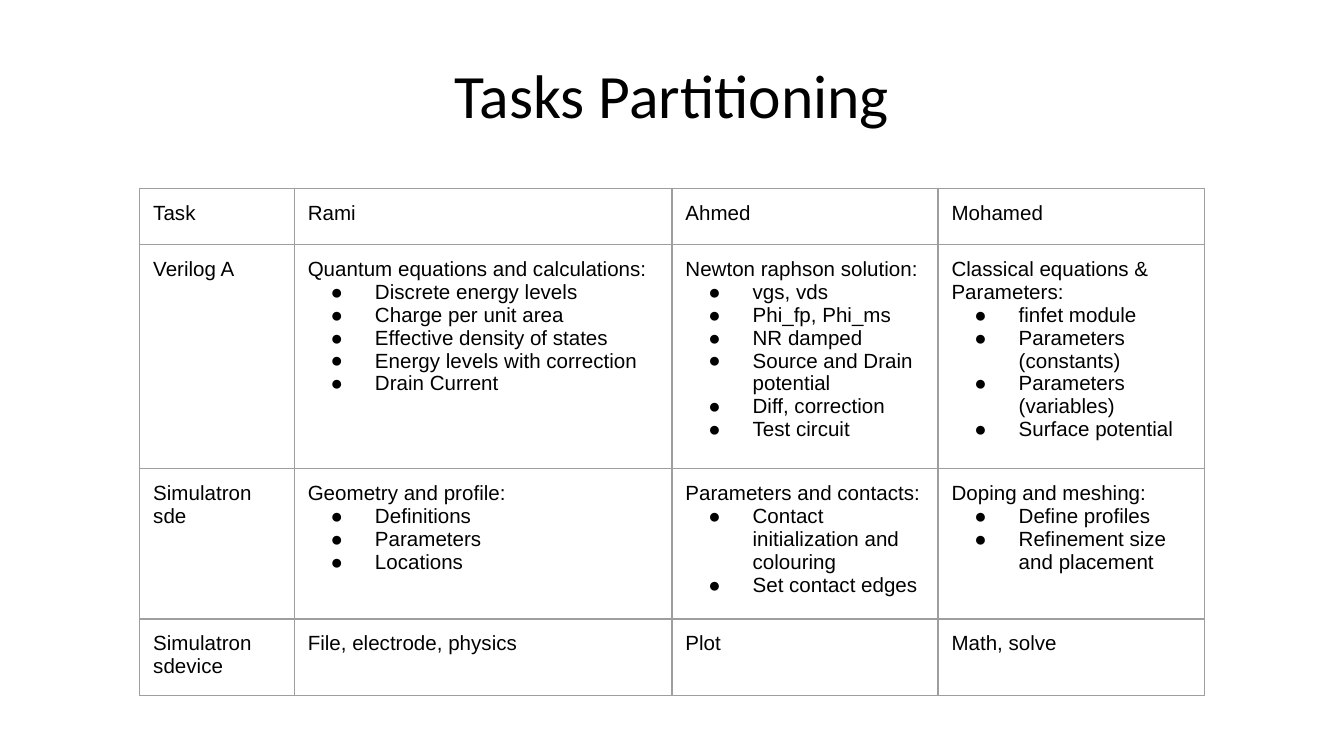
from lxml import etree
from pptx import Presentation
from pptx.dml.color import RGBColor
from pptx.enum.text import MSO_ANCHOR, PP_ALIGN
from pptx.oxml.ns import qn
from pptx.util import Inches, Pt

CENTER = PP_ALIGN.CENTER
LEFT = PP_ALIGN.LEFT
MIDDLE = MSO_ANCHOR.MIDDLE
BLACK = RGBColor(0x00, 0x00, 0x00)
GRID_GRAY = RGBColor(0x9E, 0x9E, 0x9E)

COLUMN_WIDTHS = [1.15, 2.81, 1.98, 1.98]
MIN_ROW_HEIGHT = 0.42  # rows grow to fit their text

# Each cell is a heading followed by its bulleted items.
TASKS = [
    [["Task"], ["Rami"], ["Ahmed"], ["Mohamed"]],
    [
        ["Verilog A"],
        ["Quantum equations and calculations:", "Discrete energy levels",
         "Charge per unit area", "Effective density of states",
         "Energy levels with correction", "Drain Current"],
        ["Newton raphson solution:", "vgs, vds", "Phi_fp, Phi_ms", "NR damped",
         "Source and Drain potential", "Diff, correction", "Test circuit"],
        ["Classical equations & Parameters:", "finfet module",
         "Parameters (constants)", "Parameters (variables)", "Surface potential"],
    ],
    [
        ["Simulatron sde"],
        ["Geometry and profile:", "Definitions", "Parameters", "Locations"],
        ["Parameters and contacts:", "Contact initialization and colouring",
         "Set contact edges"],
        ["Doping and meshing:", "Define profiles", "Refinement size and placement"],
    ],
    [["Simulatron sdevice"], ["File, electrode, physics"], ["Plot"], ["Math, solve"]],
]


def add_bullet(paragraph):
    properties = paragraph._p.get_or_add_pPr()
    properties.set("marL", str(Inches(0.5)))
    properties.set("indent", str(Inches(-0.33)))
    bullet_color = etree.SubElement(properties, qn("a:buClr"))
    etree.SubElement(bullet_color, qn("a:srgbClr"), val=str(BLACK))
    etree.SubElement(properties, qn("a:buFont"), typeface="Arial")
    etree.SubElement(properties, qn("a:buChar"), char="●")


def write_text(paragraph, text, font="Arial", size=11, color=BLACK,
               align=LEFT, bullet=False):
    if bullet:
        add_bullet(paragraph)
    paragraph.alignment = align
    run = paragraph.add_run()
    run.text = text
    run.font.name = font
    run.font.size = Pt(size)
    run.font.color.rgb = color


def set_margins(holder, horizontal, vertical):
    holder.margin_left = holder.margin_right = Inches(horizontal)
    holder.margin_top = holder.margin_bottom = Inches(vertical)


def add_borders(cell):
    properties = cell._tc.get_or_add_tcPr()
    for side in ("lnL", "lnR", "lnT", "lnB"):
        border = etree.SubElement(properties, qn(f"a:{side}"), w=str(Pt(0.75)))
        fill = etree.SubElement(border, qn("a:solidFill"))
        etree.SubElement(fill, qn("a:srgbClr"), val=str(GRID_GRAY))


def fill_cell(cell, lines):
    set_margins(cell, 0.1, 0.1)
    add_borders(cell)
    cell.fill.background()
    frame = cell.text_frame
    for index, line in enumerate(lines):
        paragraph = frame.add_paragraph() if index else frame.paragraphs[0]
        write_text(paragraph, line, bullet=index > 0)


def add_title(slide, left, top, width, height):
    title = slide.shapes.add_textbox(
        Inches(left), Inches(top), Inches(width), Inches(height))
    frame = title.text_frame
    frame.word_wrap = True
    frame.vertical_anchor = MIDDLE
    set_margins(frame, 0.07, 0.04)
    write_text(frame.paragraphs[0], "Tasks Partitioning",
               font="Calibri", size=33, align=CENTER)


def add_task_table(slide, left, top):
    table = slide.shapes.add_table(
        len(TASKS), len(COLUMN_WIDTHS), Inches(left), Inches(top),
        Inches(sum(COLUMN_WIDTHS)), Inches(MIN_ROW_HEIGHT * len(TASKS))).table
    table.first_row = False
    table.horz_banding = False
    for column, width in zip(table.columns, COLUMN_WIDTHS):
        column.width = Inches(width)
    for row, row_tasks in zip(table.rows, TASKS):
        row.height = Inches(MIN_ROW_HEIGHT)
        for cell, lines in zip(row.cells, row_tasks):
            fill_cell(cell, lines)


def main():
    deck = Presentation()
    deck.slide_width = Inches(10)
    deck.slide_height = deck.slide_width * 9 // 16
    slide = deck.slides.add_slide(deck.slide_layouts[6])
    add_title(slide, 0.5, 0.23, 9, 0.94)
    add_task_table(slide, 1.04, 1.4)
    deck.save("out.pptx")


if __name__ == "__main__":
    main()
